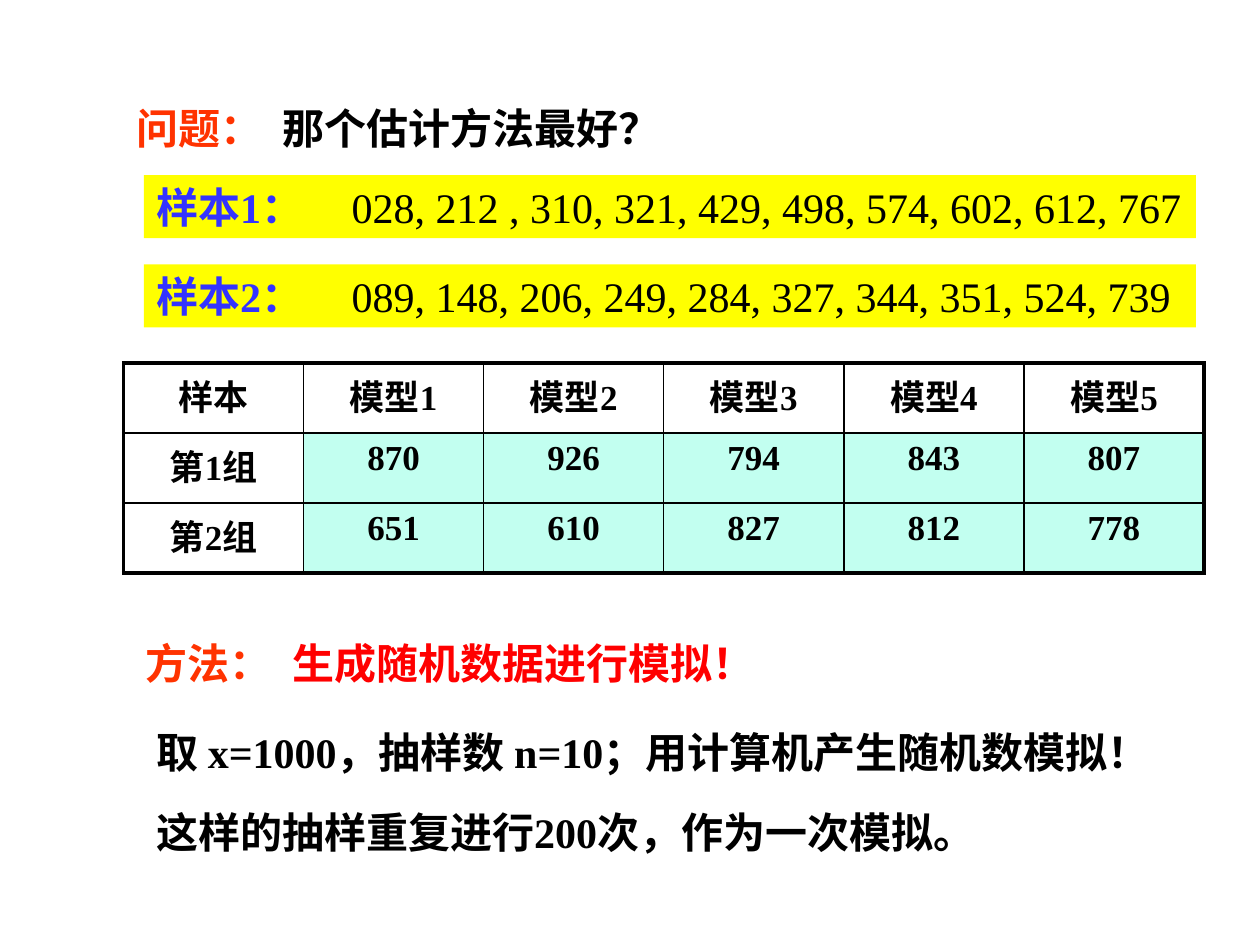
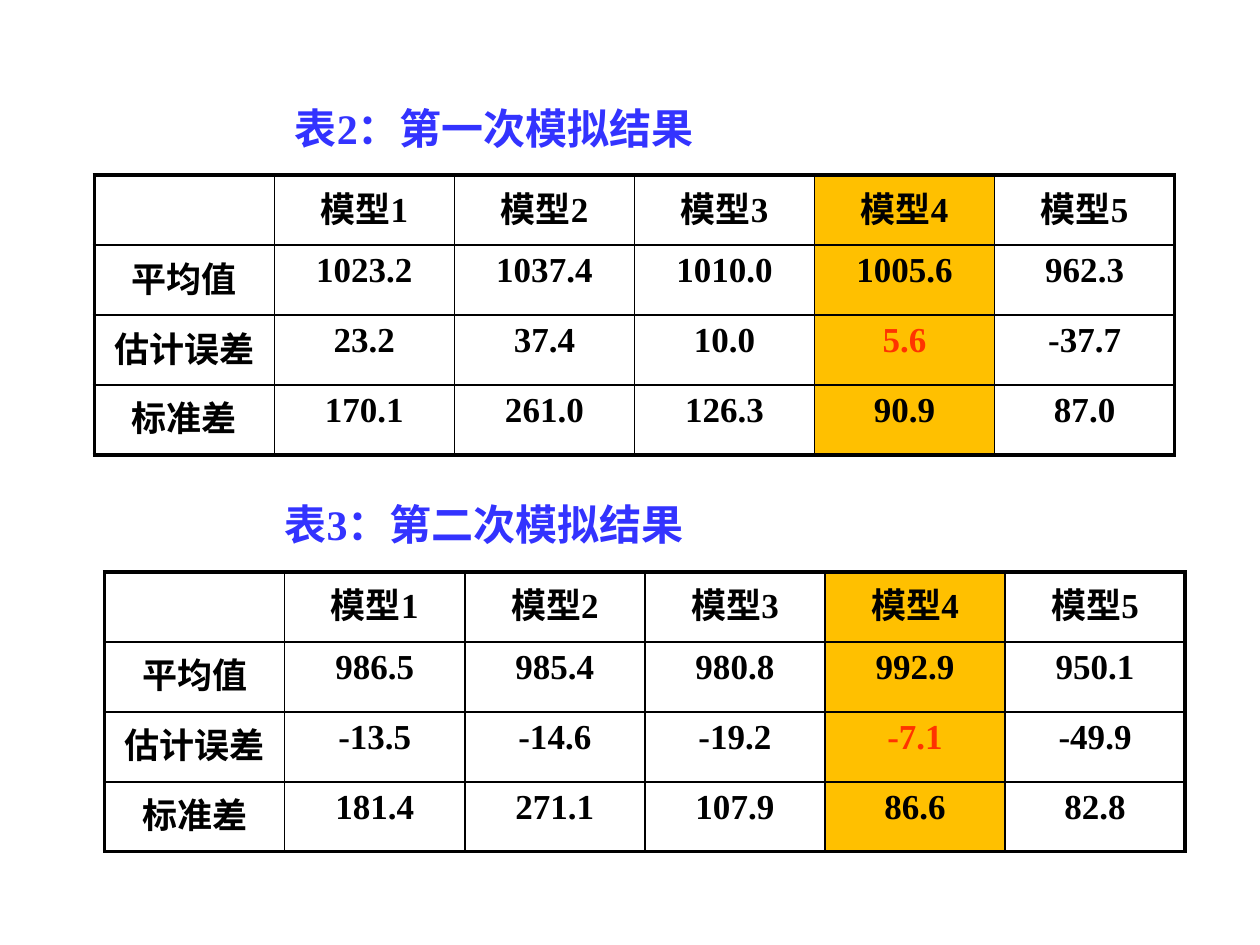
from lxml import etree
from pptx import Presentation
from pptx.dml.color import RGBColor
from pptx.enum.shapes import MSO_SHAPE
from pptx.enum.text import MSO_ANCHOR, MSO_AUTO_SIZE, PP_ALIGN
from pptx.oxml.ns import qn
from pptx.util import Cm, Pt

LEFT, CENTER = PP_ALIGN.LEFT, PP_ALIGN.CENTER
TOP = MSO_ANCHOR.TOP
NO_AUTOFIT = MSO_AUTO_SIZE.NONE
RECTANGLE = MSO_SHAPE.RECTANGLE

BLACK = RGBColor(0x00, 0x00, 0x00)
ORANGE_RED = RGBColor(0xFF, 0x33, 0x00)
RED = RGBColor(0xFF, 0x00, 0x00)
BLUE = RGBColor(0x33, 0x33, 0xFF)
YELLOW = RGBColor(0xFF, 0xFF, 0x00)
MINT = RGBColor(0xC2, 0xFF, 0xF0)
AMBER = RGBColor(0xFF, 0xC0, 0x00)

FONT = "Times New Roman"
BODY_SIZE, TABLE_SIZE = 24, 20
THIN, THICK = Pt(1), Pt(2.25)
LINE_HEIGHT = Cm(1.27)
TITLE_TOP = Cm(1.93)
TITLE_WIDTH = Cm(13.59)
LABEL_TAB = Cm(2.95)
SAMPLE_TAB = Cm(3.94)
COLUMN_WIDTH, ROW_HEIGHT = Cm(3.63), Cm(1.41)

MODELS = [f"模型{number}" for number in range(1, 6)]
BEST_MODEL_COLUMN = 4
ERROR_ROW = 2

SAMPLES = [
    ("样本1：", "028, 212 , 310, 321, 429, 498, 574, 602, 612, 767"),
    ("样本2：", "089, 148, 206, 249, 284, 327, 344, 351, 524, 739"),
]
ESTIMATES = [
    ["样本", *MODELS],
    ["第1组", "870", "926", "794", "843", "807"],
    ["第2组", "651", "610", "827", "812", "778"],
]
FIRST_SIMULATION = [
    ["", *MODELS],
    ["平均值", "1023.2", "1037.4", "1010.0", "1005.6", "962.3"],
    ["估计误差", "23.2", "37.4", "10.0", "5.6", "-37.7"],
    ["标准差", "170.1", "261.0", "126.3", "90.9", "87.0"],
]
SECOND_SIMULATION = [
    ["", *MODELS],
    ["平均值", "986.5", "985.4", "980.8", "992.9", "950.1"],
    ["估计误差", "-13.5", "-14.6", "-19.2", "-7.1", "-49.9"],
    ["标准差", "181.4", "271.1", "107.9", "86.6", "82.8"],
]


def add_tab_stop(paragraph, position):
    properties = paragraph._p.get_or_add_pPr()
    stops = etree.SubElement(properties, qn("a:tabLst"))
    etree.SubElement(stops, qn("a:tab"), pos=str(position), algn="l")


def write_text(frame, *parts, size=BODY_SIZE, color=BLACK, bold=True,
               align=LEFT, tab=None):
    """Write one paragraph; a part is a string or (string, color, bold)."""
    paragraph = frame.paragraphs[0]
    paragraph.alignment = align
    if tab:
        add_tab_stop(paragraph, tab)
    for part in parts:
        words, part_color, part_bold = (
            (part, color, bold) if isinstance(part, str) else part)
        run = paragraph.add_run()
        run.text = words
        run.font.name = FONT
        run.font.size = Pt(size)
        run.font.bold = part_bold
        run.font.color.rgb = part_color


def prepare_frame(frame):
    frame.word_wrap = True
    frame.auto_size = NO_AUTOFIT
    frame.vertical_anchor = TOP
    return frame


def add_titled_slide(prs, left, *parts, **text_format):
    slide = prs.slides.add_slide(prs.slide_layouts[5])
    title = slide.shapes.title
    title.left, title.top = left, TITLE_TOP
    title.width, title.height = TITLE_WIDTH, LINE_HEIGHT
    write_text(prepare_frame(title.text_frame), *parts, **text_format)
    return slide


def add_line_of_text(slide, left, top, width, *parts, **text_format):
    box = slide.shapes.add_textbox(left, top, width, LINE_HEIGHT)
    write_text(prepare_frame(box.text_frame), *parts, **text_format)


def add_sample_band(slide, top, label, numbers):
    band = slide.shapes.add_shape(RECTANGLE, Cm(2.9), top, Cm(21.21), LINE_HEIGHT)
    band.shadow.inherit = False
    band.fill.solid()
    band.fill.fore_color.rgb = YELLOW
    band.line.fill.background()
    write_text(prepare_frame(band.text_frame), (label, BLUE, True),
               "\t" + numbers, bold=False, tab=SAMPLE_TAB)


def set_borders(cell, widths):
    """Draw the left, right, top and bottom borders, in that order."""
    properties = cell._tc.get_or_add_tcPr()
    for side, width in zip("LRTB", widths):
        line = etree.SubElement(properties, qn(f"a:ln{side}"), w=str(width))
        fill = etree.SubElement(line, qn("a:solidFill"))
        etree.SubElement(fill, qn("a:srgbClr"), val=str(BLACK))


def add_grid(slide, left, top, rows, fill_for, color_for=lambda row, column: BLACK):
    """Add a table with a thick frame; the two rules take row and column."""
    last_row, last_column = len(rows) - 1, len(rows[0]) - 1
    table = slide.shapes.add_table(
        len(rows), len(rows[0]), left, top,
        COLUMN_WIDTH * len(rows[0]), ROW_HEIGHT * len(rows)).table
    table.first_row = table.horz_banding = False
    for column in table.columns:
        column.width = COLUMN_WIDTH
    for r, values in enumerate(rows):
        table.rows[r].height = ROW_HEIGHT
        for c, value in enumerate(values):
            cell = table.cell(r, c)
            on_frame = (c == 0, c == last_column, r == 0, r == last_row)
            set_borders(cell, [THICK if edge else THIN for edge in on_frame])
            fill = fill_for(r, c)
            if fill:
                cell.fill.solid()
                cell.fill.fore_color.rgb = fill
            else:
                cell.fill.background()
            if value:
                write_text(cell.text_frame, value, size=TABLE_SIZE,
                           color=color_for(r, c), align=CENTER)


def add_simulation_grid(slide, left, top, rows):
    add_grid(
        slide, left, top, rows,
        fill_for=lambda r, c: AMBER if c == BEST_MODEL_COLUMN else None,
        color_for=lambda r, c: (
            ORANGE_RED if (r, c) == (ERROR_ROW, BEST_MODEL_COLUMN) else BLACK))


def build_question_slide(prs):
    slide = add_titled_slide(prs, Cm(2.49), ("问题：", ORANGE_RED, True),
                             "\t那个估计方法最好？", tab=LABEL_TAB)
    add_grid(slide, Cm(2.49), Cm(7.32), ESTIMATES,
             fill_for=lambda r, c: MINT if r and c else None)
    for index, (label, numbers) in enumerate(SAMPLES):
        add_sample_band(slide, Cm(3.53 + 1.8 * index), label, numbers)
    add_line_of_text(slide, Cm(2.69), Cm(12.73), Cm(18), ("方法：", ORANGE_RED, True),
                     "\t生成随机数据进行模拟！", color=RED, tab=LABEL_TAB)
    steps = ["取 x=1000，抽样数 n=10；用计算机产生随机数模拟！",
             "这样的抽样重复进行200次，作为一次模拟。"]
    for index, step in enumerate(steps):
        add_line_of_text(slide, Cm(2.9), Cm(14.53 + 1.6 * index), Cm(21.62), step)


def build_results_slide(prs):
    slide = add_titled_slide(prs, Cm(5.69), "表2：第一次模拟结果", color=BLUE)
    add_simulation_grid(slide, Cm(1.9), Cm(3.53), FIRST_SIMULATION)
    add_line_of_text(slide, Cm(5.49), Cm(9.93), TITLE_WIDTH,
                     "表3：第二次模拟结果", color=BLUE)
    add_simulation_grid(slide, Cm(2.11), Cm(11.53), SECOND_SIMULATION)


def main():
    prs = Presentation()
    prs.slide_width, prs.slide_height = Cm(25.4), Cm(19.05)
    build_question_slide(prs)
    build_results_slide(prs)
    prs.save("out.pptx")


if __name__ == "__main__":
    main()
